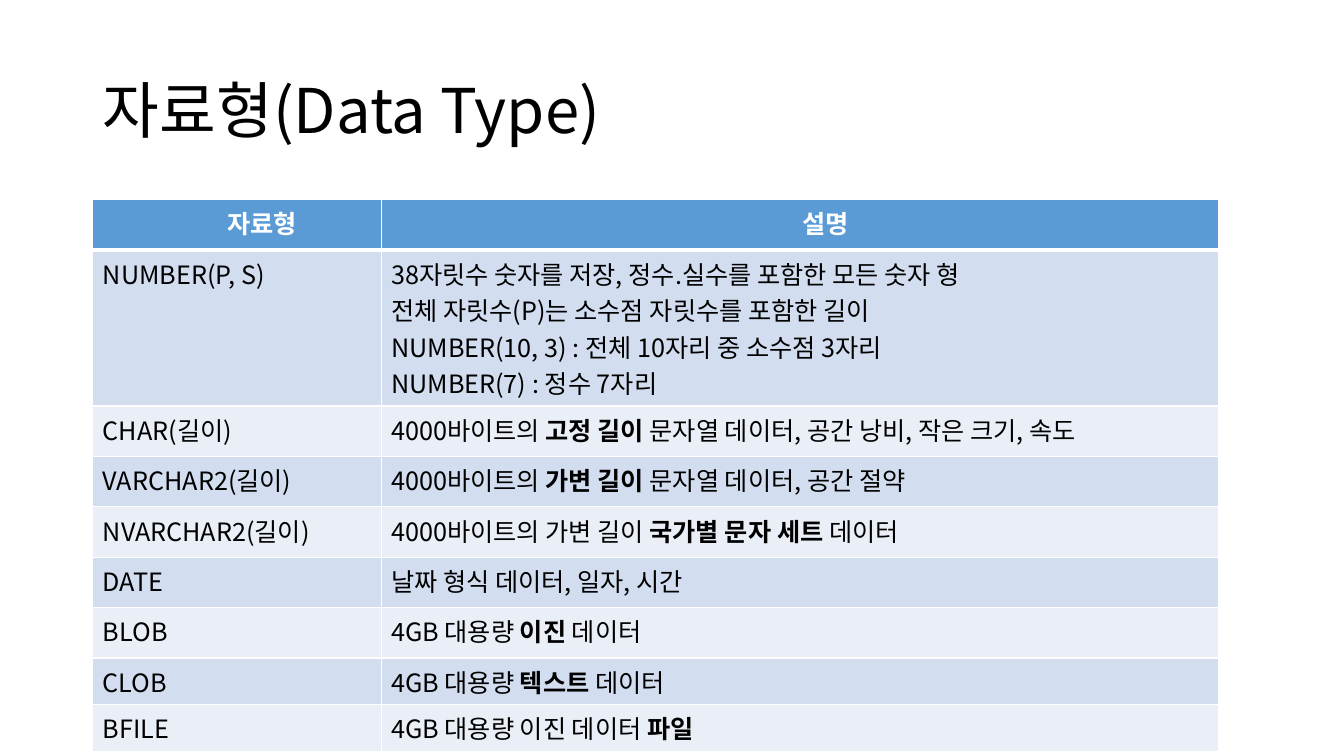
import pptx
import pptx.dml.color
import pptx.enum.text
import pptx.oxml.ns
import pptx.util
from lxml import etree

Inches = pptx.util.Inches
Pt = pptx.util.Pt
RGBColor = pptx.dml.color.RGBColor
qn = pptx.oxml.ns.qn
PP_ALIGN = pptx.enum.text.PP_ALIGN

FONT = "Noto Sans CJK KR"
BLACK = RGBColor(0x00, 0x00, 0x00)
WHITE = RGBColor(0xFF, 0xFF, 0xFF)
HEADER = RGBColor(0x5B, 0x9B, 0xD5)
BANDS = (RGBColor(0xD2, 0xDE, 0xEF), RGBColor(0xEA, 0xEF, 0xF7))

COL_WIDTHS = (2.86, 8.31)
ROW_HEIGHTS = (0.5, 0.83, 0.5, 0.5, 0.5, 0.5, 0.5, 0.33, 0.33)
HEADINGS = ("자료형", "설명")
DATA_TYPES = (
    ("NUMBER(P, S)", "38자릿수 숫자를 저장, 정수.실수를 포함한 모든 숫자 형\n"
                     "전체 자릿수(P)는 소수점 자릿수를 포함한 길이\n"
                     "NUMBER(10, 3) : 전체 10자리 중 소수점 3자리\n"
                     "NUMBER(7) : 정수 7자리"),
    ("CHAR(길이)", "4000바이트의 **고정 길이 **문자열 데이터, 공간 낭비, 작은 크기, 속도"),
    ("VARCHAR2(길이)", "4000바이트의 **가변 길이 **문자열 데이터, 공간 절약"),
    ("NVARCHAR2(길이)", "4000바이트의 가변 길이 **국가별 문자 세트 **데이터"),
    ("DATE", "날짜 형식 데이터, 일자, 시간"),
    ("BLOB", "4GB 대용량 **이진** 데이터"),
    ("CLOB", "4GB 대용량 **텍스트** 데이터"),
    ("BFILE", "4GB 대용량 이진 데이터 **파일**"),
)


def add_run(p, text, size, color, bold=False):
    """Add one formatted run, with the font set for Latin and Korean text."""
    r = p.add_run()
    r.text = text
    r.font.size = Pt(size)
    r.font.bold = bold
    r.font.name = FONT
    r.font.color.rgb = color
    etree.SubElement(r.font._element, qn("a:ea"), typeface=FONT)


def add_marked_text(tf, text, color):
    """Write one paragraph per line; text between double asterisks is bold."""
    for i, line in enumerate(text.split("\n")):
        p = tf.add_paragraph() if i else tf.paragraphs[0]
        for j, part in enumerate(line.split("**")):
            if part:
                add_run(p, part, 18, color, bold=j % 2 == 1)


def set_borders(cell, top=1, bottom=1):
    """Draw white borders around a cell, with widths in points."""
    tcPr = cell._tc.get_or_add_tcPr()
    for tag, width in (("lnL", 1), ("lnR", 1), ("lnT", top), ("lnB", bottom)):
        ln = etree.SubElement(tcPr, qn("a:" + tag), w=str(Pt(width)))
        fill = etree.SubElement(ln, qn("a:solidFill"))
        etree.SubElement(fill, qn("a:srgbClr"), val=str(WHITE))


def fill_cell(cell, color):
    """Give a cell a solid fill."""
    cell.fill.solid()
    cell.fill.fore_color.rgb = color


def add_title(s, left, top, width, height):
    """Place and format the slide title in the given box."""
    sp = s.shapes.title
    sp.left, sp.top = Inches(left), Inches(top)
    sp.width, sp.height = Inches(width), Inches(height)
    tf = sp.text_frame
    tf.auto_size = pptx.enum.text.MSO_AUTO_SIZE.NONE
    tf.vertical_anchor = pptx.enum.text.MSO_ANCHOR.MIDDLE
    p = tf.paragraphs[0]
    p.alignment = PP_ALIGN.LEFT
    p.line_spacing = 0.9
    add_run(p, "자료형(Data Type)", 44, BLACK)


def add_type_table(s, left, top, width, height):
    """Place the table of data types and their descriptions in the given box."""
    table = s.shapes.add_table(
        len(ROW_HEIGHTS), len(COL_WIDTHS),
        Inches(left), Inches(top), Inches(width), Inches(height)).table
    for col, w in zip(table.columns, COL_WIDTHS):
        col.width = Inches(w)
    for row, h in zip(table.rows, ROW_HEIGHTS):
        row.height = Inches(h)

    for c, heading in enumerate(HEADINGS):
        cell = table.cell(0, c)
        set_borders(cell, bottom=3)
        fill_cell(cell, HEADER)
        p = cell.text_frame.paragraphs[0]
        p.alignment = PP_ALIGN.CENTER
        p.level = 1
        p._p.get_or_add_pPr().set("marL", str(Inches(0.5)))
        add_run(p, heading, 18, WHITE, bold=True)

    for r, texts in enumerate(DATA_TYPES, 1):
        for c, text in enumerate(texts):
            cell = table.cell(r, c)
            set_borders(cell, top=3 if r == 1 else 1)
            fill_cell(cell, BANDS[(r - 1) % 2])
            add_marked_text(cell.text_frame, text, BLACK)


def build_slide(prs):
    """Add the data type slide."""
    s = prs.slides.add_slide(prs.slide_layouts[5])
    add_title(s, 0.92, 0.4, 11.5, 1.45)
    add_type_table(s, 0.92, 1.98, sum(COL_WIDTHS), sum(ROW_HEIGHTS))


prs = pptx.Presentation()
prs.slide_width, prs.slide_height = Inches(13.33), Inches(7.5)
build_slide(prs)
prs.save("out.pptx")
